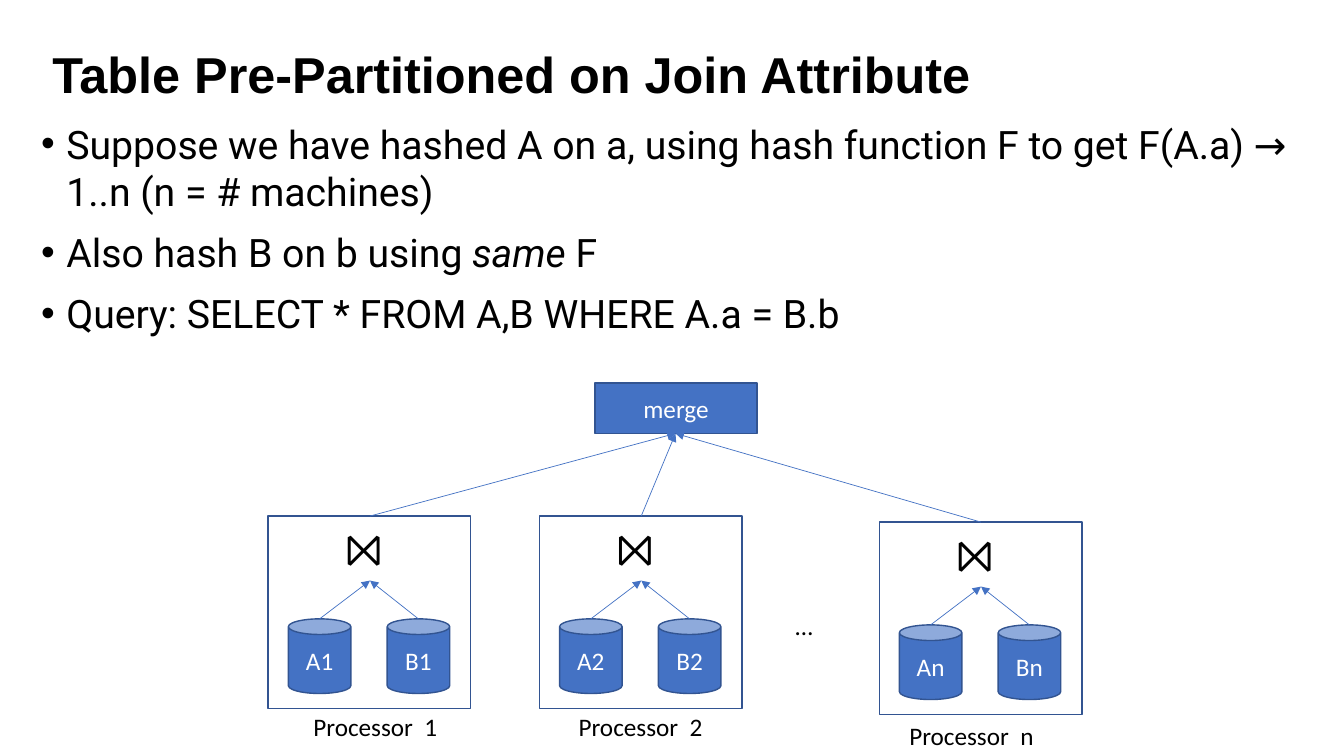
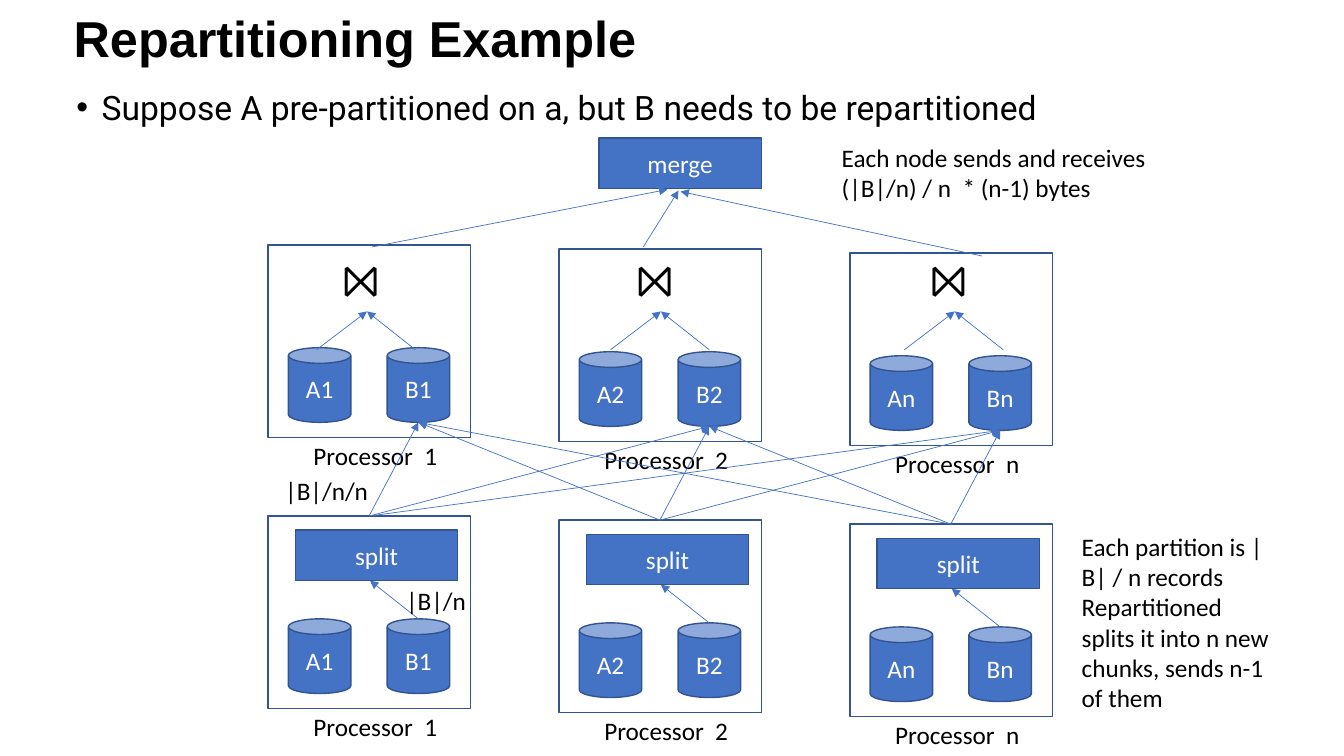
from dataclasses import dataclass
from itertools import product

from lxml.etree import SubElement
from pptx import Presentation
from pptx.dml.color import RGBColor
from pptx.enum.shapes import MSO_CONNECTOR as Link, MSO_SHAPE as Kind
from pptx.enum.text import MSO_ANCHOR as Anchor, MSO_AUTO_SIZE as Fit, PP_ALIGN as Align
from pptx.oxml.ns import qn
from pptx.shapes.autoshape import Shape
from pptx.slide import Slide
from pptx.text.text import TextFrame
from pptx.util import Inches, Pt

BLACK = RGBColor(0x00, 0x00, 0x00)
WHITE = RGBColor(0xFF, 0xFF, 0xFF)
BLUE = RGBColor(0x44, 0x72, 0xC4)
NAVY = RGBColor(0x32, 0x54, 0x91)
Point = tuple[float, float]


@dataclass(frozen=True)
class Area:
    x: float
    y: float
    w: float
    h: float


@dataclass(frozen=True)
class Node:
    name: str
    x: float
    y: float
    tag_x: float = 0.35
    tag_y: float = 1.89

    def at(self, dx: float, dy: float) -> Point:
        return self.x + dx, self.y + dy


def write(frame: TextFrame, text: str, *, font: str = "Calibri", size: float = 18,
          color: RGBColor = BLACK, bold: bool = False, align: Align = Align.LEFT,
          anchor: Anchor = Anchor.TOP, wrap: bool = True, lead: float = 1.0,
          bullet: bool = False) -> None:
    frame.word_wrap = wrap
    frame.auto_size = Fit.NONE
    frame.vertical_anchor = anchor
    for i, line in enumerate(text.split("\n")):
        para = frame.add_paragraph() if i else frame.paragraphs[0]
        para.alignment = align
        para.line_spacing = lead
        if bullet:
            para.space_before = Pt(10)
            props = para._p.get_or_add_pPr()
            props.set("marL", str(Inches(0.25)))
            props.set("indent", str(Inches(-0.25)))
            SubElement(props, qn("a:buFont")).set("typeface", "Arial")
            SubElement(props, qn("a:buChar")).set("char", "•")
        for j, part in enumerate(line.split("_")):
            run = para.add_run()
            run.text = part
            run.font.name = font
            run.font.size = Pt(size)
            run.font.bold = bold
            run.font.italic = j % 2 == 1
            run.font.color.rgb = color


def start(deck: Presentation, title: str, area: Area) -> Slide:
    slide = deck.slides.add_slide(deck.slide_layouts[5])
    head = slide.shapes.title
    head.left, head.top = Inches(area.x), Inches(area.y)
    head.width, head.height = Inches(area.w), Inches(area.h)
    write(head.text_frame, title, font="Arial", size=36, bold=True,
          anchor=Anchor.MIDDLE, lead=0.9)
    return slide


def label(slide: Slide, text: str, area: Area, **style) -> None:
    box = slide.shapes.add_textbox(Inches(area.x), Inches(area.y),
                                   Inches(area.w), Inches(area.h))
    write(box.text_frame, text, **style)


def points(slide: Slide, text: str, area: Area, size: float) -> None:
    label(slide, text, area, font="Roboto", size=size, bullet=True)


def block(slide: Slide, kind: Kind, area: Area, text: str = "") -> Shape:
    shape = slide.shapes.add_shape(kind, Inches(area.x), Inches(area.y),
                                   Inches(area.w), Inches(area.h))
    shape.shadow.inherit = False
    shape.line.color.rgb = NAVY
    shape.line.width = Pt(1)
    if text:
        shape.fill.solid()
        shape.fill.fore_color.rgb = BLUE
        write(shape.text_frame, text, color=WHITE, align=Align.CENTER,
              anchor=Anchor.MIDDLE)
    else:
        shape.fill.background()
    return shape


def step(slide: Slide, text: str, x: float, y: float) -> None:
    block(slide, Kind.RECTANGLE, Area(x, y, 1.61, 0.5), text)


def arrow(slide: Slide, tail: Point, tip: Point) -> None:
    line = slide.shapes.add_connector(Link.STRAIGHT, *map(Inches, tail + tip))
    line.line.color.rgb = BLUE
    line.line.width = Pt(0.5)
    SubElement(line.line._ln, qn("a:tailEnd")).set("type", "triangle")
    SubElement(line._element.spPr, qn("a:effectLst"))


def draw_node(slide: Slide, node: Node) -> None:
    block(slide, Kind.RECTANGLE, Area(node.x, node.y, 2.01, 1.91))
    for table, dx in (("A", 0.2), ("B", 1.18)):
        block(slide, Kind.CAN, Area(*node.at(dx, 1.02), 0.62, 0.74), table + node.name)
    label(slide, f"Processor  {node.name}",
          Area(*node.at(node.tag_x, node.tag_y), 1.45, 0.4))


def draw_join(slide: Slide, x: float, y: float) -> None:
    label(slide, "⨝", Area(x + 0.67, y, 0.67, 0.64), size=32)
    for dx in (0.51, 1.49):
        arrow(slide, (x + dx, y + 1.02), (x + 1.01, y + 0.64))


def draw_split(slide: Slide, node: Node) -> None:
    arrow(slide, node.at(1.49, 1.02), node.at(1.01, 0.64))
    step(slide, "split", *node.at(0.27, 0.14))


def row(y: float) -> list[Node]:
    return [Node(name, 2.66 + 2.885 * i, y + 0.04 * i) for i, name in enumerate("12n")]


def draw_hashed(deck: Presentation) -> None:
    slide = start(deck, "Table Pre-Partitioned on Join Attribute",
                  Area(0.42, 0.04, 11.5, 1.45))
    points(slide,
           "Suppose we have hashed A on a, using hash function F to get F(A.a) → "
           "1..n (n = # machines)\n"
           "Also hash B on b using _same_ F\n"
           "Query: SELECT * FROM A,B WHERE A.a = B.b",
           Area(0.31, 1.14, 12.61, 4.76), 28)
    nodes = (Node("1", 2.66, 5.12), Node("2", 5.35, 5.12, 0.29),
             Node("n", 8.72, 5.18, 0.2, 1.92))
    step(slide, "merge", 5.9, 3.8)
    for node in nodes:
        draw_node(slide, node)
        draw_join(slide, node.x, node.y)
        arrow(slide, node.at(1.01, 0), (6.7, 4.3))
    label(slide, "…", Area(7.79, 6.01, 1.45, 0.4))


def draw_moved(deck: Presentation) -> None:
    slide = start(deck, "Repartitioning Example", Area(0.63, -0.32, 8.62, 1.45))
    points(slide, "Suppose A pre-partitioned on a, but B needs to be repartitioned",
           Area(0.66, 0.81, 10.18, 1.01), 24)
    lower, upper = row(5.12), row(2.43)
    for node in lower:
        draw_node(slide, node)
        draw_split(slide, node)
    for i, node in enumerate(upper):
        draw_node(slide, node)
        draw_join(slide, 2.63 + 2.915 * i, 2.45)
    for source, target in product(lower, upper):
        arrow(slide, source.at(1.0, 0), target.at(1.49, 1.76))
    step(slide, "merge", 5.94, 1.37)
    for tail, tip in (((3.69, 2.45), (6.62, 1.88)),
                      ((6.38, 2.45), (6.73, 1.89)),
                      ((9.74, 2.54), (6.75, 1.9))):
        arrow(slide, tail, tip)
    label(slide, "Each node sends and receives\n(|B|/n) / n  * (n-1) bytes",
          Area(8.25, 1.36, 3.34, 0.71))
    label(slide, "|B|/n/n ", Area(2.73, 4.67, 1.09, 0.4), wrap=False)
    label(slide, "|B|/n ", Area(3.93, 5.76, 0.86, 0.4), wrap=False)
    label(slide, "Each partition is |B| / n records\n"
          "Repartitioned splits it into n new chunks, sends n-1 of them",
          Area(10.63, 5.22, 2.09, 1.92))


def main() -> None:
    deck = Presentation()
    deck.slide_width, deck.slide_height = Inches(13.33), Inches(7.5)
    draw_hashed(deck)
    draw_moved(deck)
    deck.save("out.pptx")


main()
